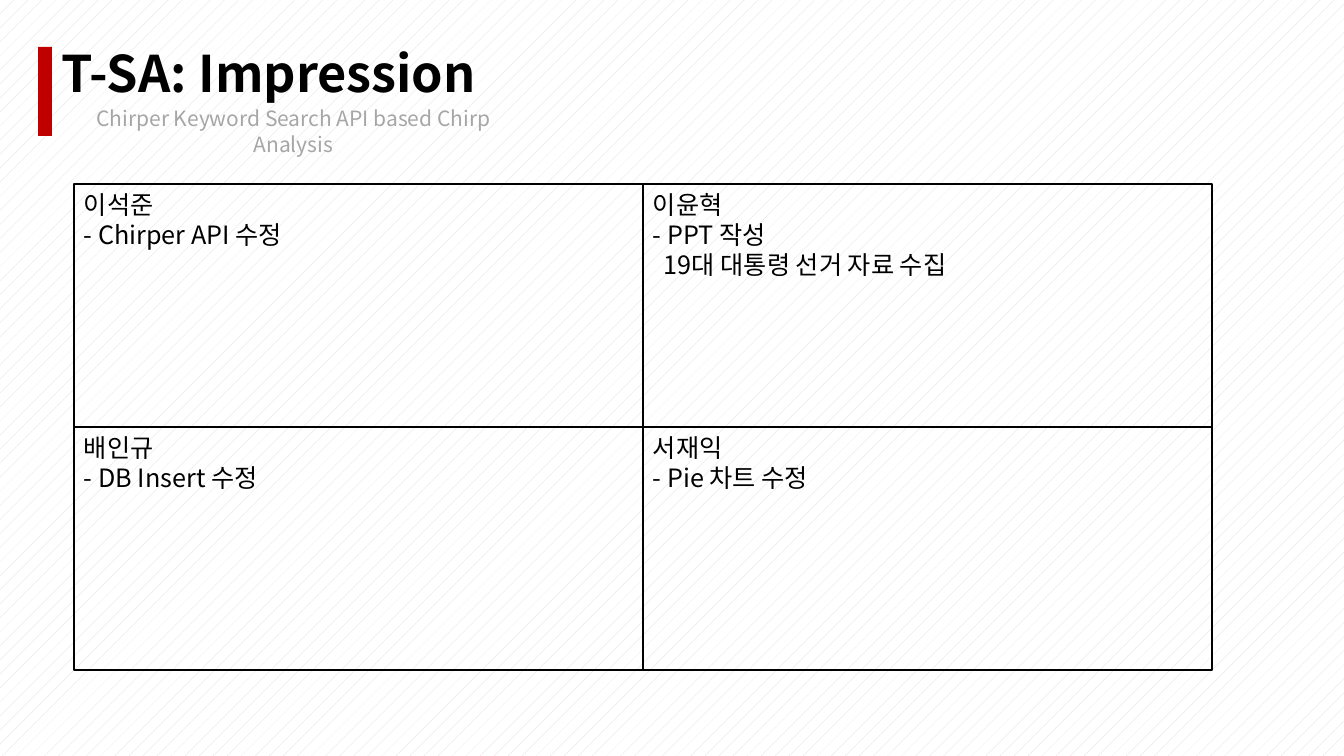
from lxml import etree
from pptx import Presentation
from pptx import util as u
from pptx.dml.color import RGBColor
from pptx.enum import dml, shapes, text
from pptx.oxml.ns import qn

PX = 12192000 / 1344
THEME = {
    "font": "Noto Sans CJK KR",
    "accent": RGBColor.from_string("C00000"),
    "ink": RGBColor.from_string("000000"),
    "muted": RGBColor.from_string("A6A6A6"),
    "pattern": RGBColor.from_string("E3D9D7"),
    "paper": RGBColor.from_string("FFFFFF"),
    "title": u.Pt(36),
    "subtitle": u.Pt(15),
    "body": u.Pt(18),
    "border": u.Pt(1),
}


def px(*lengths):
    return [round(n * PX) for n in lengths]


def write(sp, lines, size, color, align=text.PP_ALIGN.LEFT, bold=False):
    tf = sp.text_frame
    tf.word_wrap = True
    tf.vertical_anchor = text.MSO_ANCHOR.TOP
    for i, line in enumerate(lines):
        p = tf.paragraphs[0] if i == 0 else tf.add_paragraph()
        p.alignment = align
        if i > 1:
            p._p.get_or_add_pPr().set("marL", str(px(11)[0]))
        r = p.add_run()
        r.text = line
        for name, value in {"name": THEME["font"], "size": size, "bold": bold}.items():
            setattr(r.font, name, value)
        r.font.color.rgb = color
        etree.SubElement(r.font._element, qn("a:ea"), typeface=THEME["font"])


prs = Presentation()
prs.slide_width, prs.slide_height = px(1344, 756)
s = prs.slides.add_slide(prs.slide_layouts[6])

fill = s.background.fill
fill.patterned()
fill.pattern = dml.MSO_PATTERN.PERCENT_5
fill.fore_color.rgb = THEME["pattern"]
fill.back_color.rgb = THEME["paper"]

bar = s.shapes.add_shape(shapes.MSO_SHAPE.RECTANGLE, *px(38, 47, 14, 89))
bar.shadow.inherit = False
bar.fill.solid()
bar.fill.fore_color.rgb = THEME["accent"]
bar.line.fill.background()

title = s.shapes.add_textbox(*px(52, 37, 775, 72))
write(title, ["T-SA: Impression"], THEME["title"], THEME["ink"], bold=True)

subtitle = s.shapes.add_textbox(*px(52, 101, 483, 35))
write(subtitle, ["Chirper Keyword Search API based Chirp Analysis"],
      THEME["subtitle"], THEME["muted"], align=text.PP_ALIGN.CENTER)

members = [
    ["이석준", "- Chirper API 수정"],
    ["이윤혁", "- PPT 작성", "19대 대통령 선거 자료 수집"],
    ["배인규", "- DB Insert 수정"],
    ["서재익", "- Pie 차트 수정"],
]
left, top, width, height = 74, 184, 569, 243
for i, lines in enumerate(members):
    row, col = divmod(i, 2)
    sp = s.shapes.add_shape(
        shapes.MSO_SHAPE.RECTANGLE,
        *px(left + col * width, top + row * height, width, height))
    sp.shadow.inherit = False
    sp.fill.background()
    sp.line.color.rgb = THEME["ink"]
    sp.line.width = THEME["border"]
    write(sp, lines, THEME["body"], THEME["ink"])

prs.save("out.pptx")
